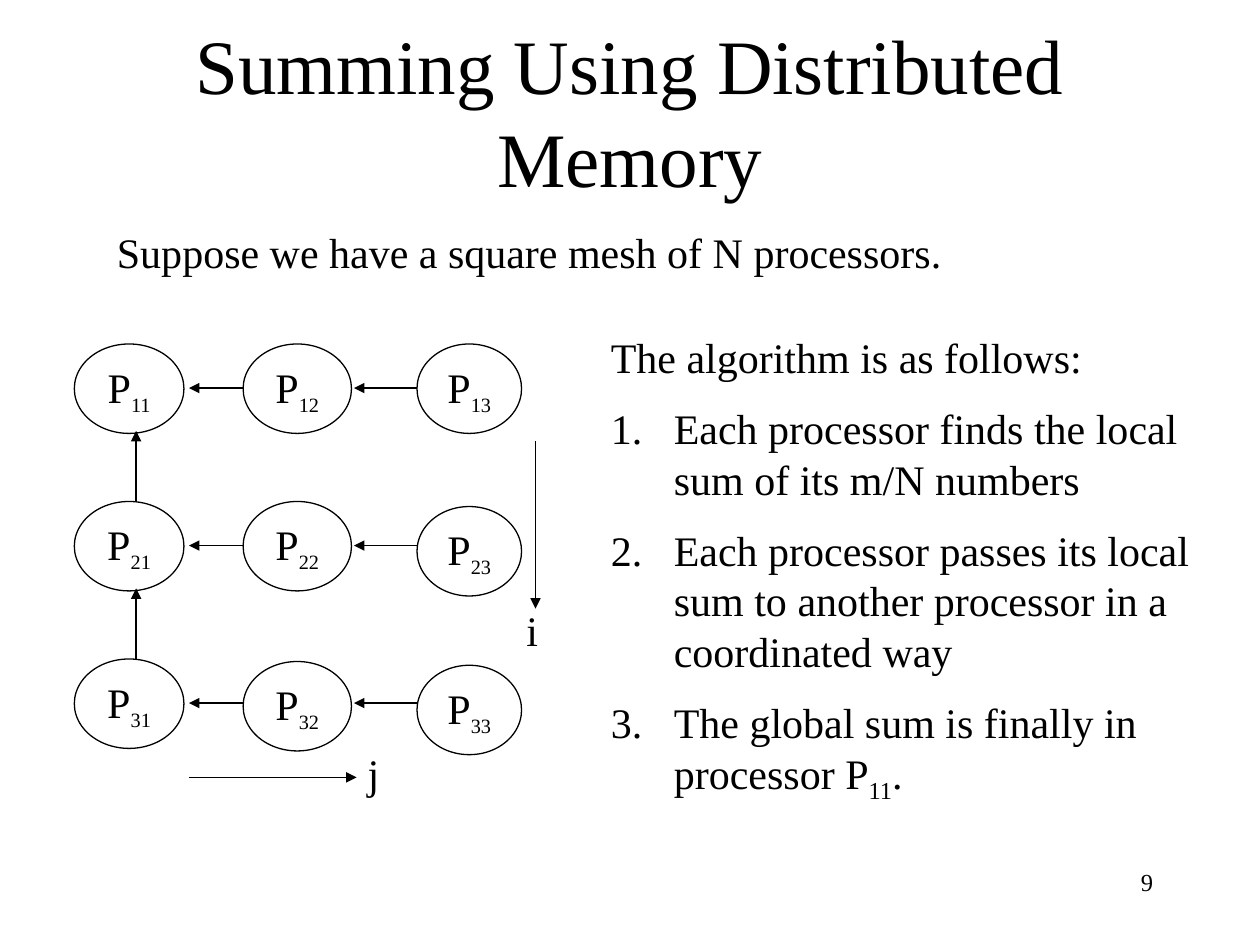
from lxml import etree
from pptx import Presentation
from pptx.dml.color import RGBColor
from pptx.enum.shapes import MSO_CONNECTOR, MSO_SHAPE
from pptx.enum.text import MSO_ANCHOR, PP_ALIGN
from pptx.oxml.ns import qn
from pptx.util import Inches, Pt

STRAIGHT = MSO_CONNECTOR.STRAIGHT
ELLIPSE = MSO_SHAPE.OVAL
TOP, MIDDLE = MSO_ANCHOR.TOP, MSO_ANCHOR.MIDDLE
LEFT, CENTER, RIGHT = PP_ALIGN.LEFT, PP_ALIGN.CENTER, PP_ALIGN.RIGHT

COLORS = {"ink": "000000", "paper": "FFFFFF"}
FONT = "Times New Roman"
LINE_WIDTH = Pt(0.75)
NODE_HEIGHT = 0.71
COLUMNS = [(0.59, 0.87), (1.93, 0.86), (3.31, 0.83)]
ROW_TOPS = [
    [2.73, 2.73, 2.73],
    [3.98, 3.98, 4.02],
    [5.23, 5.25, 5.28],
]
ROW_STEP = 1.25
STEPS = [
    "Each processor finds the local sum of its m/N numbers",
    "Each processor passes its local sum to another processor in a coordinated way",
    "The global sum is finally in processor P",
]


def color(name):
    return RGBColor.from_string(COLORS[name])


def style_font(font, size):
    font.name = FONT
    font.size = Pt(size)
    font.color.rgb = color("ink")


def add_subscript(para, text, size):
    span = para.add_run()
    span.text = text
    span.font.size = Pt(size)
    span._r.get_or_add_rPr().set("baseline", "-25000")


def add_text(page, text, left, top, width, height, size=24,
             align=LEFT, anchor=TOP, wrap=True):
    box = page.shapes.add_textbox(
        Inches(left), Inches(top), Inches(width), Inches(height))
    frame = box.text_frame
    frame.word_wrap = wrap
    frame.vertical_anchor = anchor
    para = frame.paragraphs[0]
    para.text = text
    para.alignment = align
    style_font(para.font, size)
    return frame


def add_arrow(page, start, end):
    arrow = page.shapes.add_connector(
        STRAIGHT, *(Inches(value) for value in (*start, *end)))
    arrow.line.color.rgb = color("ink")
    arrow.line.width = LINE_WIDTH
    etree.SubElement(arrow.line._get_or_add_ln(), qn("a:tailEnd"), type="triangle")
    etree.SubElement(arrow._element.spPr, qn("a:effectLst"))


def add_processor(page, index, left, top, width):
    node = page.shapes.add_shape(
        ELLIPSE, Inches(left), Inches(top), Inches(width), Inches(NODE_HEIGHT))
    node.shadow.inherit = False
    node.fill.solid()
    node.fill.fore_color.rgb = color("paper")
    node.line.color.rgb = color("ink")
    node.line.width = LINE_WIDTH
    frame = node.text_frame
    frame.word_wrap = False
    frame.vertical_anchor = MIDDLE
    para = frame.paragraphs[0]
    para.alignment = CENTER
    style_font(para.font, 24)
    para.add_run().text = "P"
    add_subscript(para, index, 20)


def add_mesh(page):
    for start, end in ((2.08, 1.5), (3.39, 2.81)):
        for row in range(3):
            height = 3.08 + row * ROW_STEP
            add_arrow(page, (start, height), (end, height))
    for row, tops in enumerate(ROW_TOPS):
        if row:
            bottom = 4 + (row - 1) * ROW_STEP
            add_arrow(page, (1.08, bottom), (1.08, bottom - 0.58))
        for column, ((left, width), top) in enumerate(zip(COLUMNS, tops)):
            add_processor(page, f"{row + 1}{column + 1}", left, top, width)


def add_axes(page):
    add_arrow(page, (1.5, 6.17), (2.83, 6.17))
    add_text(page, "j", 2.82, 5.88, 0.29, 0.5, wrap=False)
    add_arrow(page, (4.25, 3.5), (4.25, 4.83))
    add_text(page, "i", 4.08, 4.75, 0.29, 0.5, wrap=False)


def set_hanging_indent(para):
    properties = para._p.get_or_add_pPr()
    properties.set("marL", str(Inches(0.5)))
    properties.set("indent", str(Inches(-0.5)))
    return properties


def add_algorithm(page):
    frame = add_text(page, "The algorithm is as follows:", 4.75, 2.58, 5, 3.89)
    set_hanging_indent(frame.paragraphs[0])
    for step in STEPS:
        para = frame.add_paragraph()
        para.add_run().text = step
        para.space_before = Pt(12)
        style_font(para.font, 24)
        properties = set_hanging_indent(para)
        number = etree.Element(qn("a:buAutoNum"), type="arabicPeriod")
        properties.find(qn("a:spcBef")).addnext(number)
    add_subscript(para, "11", 24)
    para.add_run().text = "."


def main():
    deck = Presentation()
    deck.slide_width = Inches(10)
    deck.slide_height = Inches(7.5)
    page = deck.slides.add_slide(deck.slide_layouts[6])
    add_text(page, "9", 7.17, 6.83, 2.08, 0.5, size=14, align=RIGHT)
    add_text(page, "Summing Using Distributed Memory", 0.75, 0.25, 8.5, 1.25,
             size=44, align=CENTER, anchor=MIDDLE)
    add_mesh(page)
    add_axes(page)
    add_text(page, "Suppose we have a square mesh of N processors.",
             0.83, 1.75, 7.83, 0.5)
    add_algorithm(page)
    deck.save("out.pptx")


if __name__ == "__main__":
    main()
